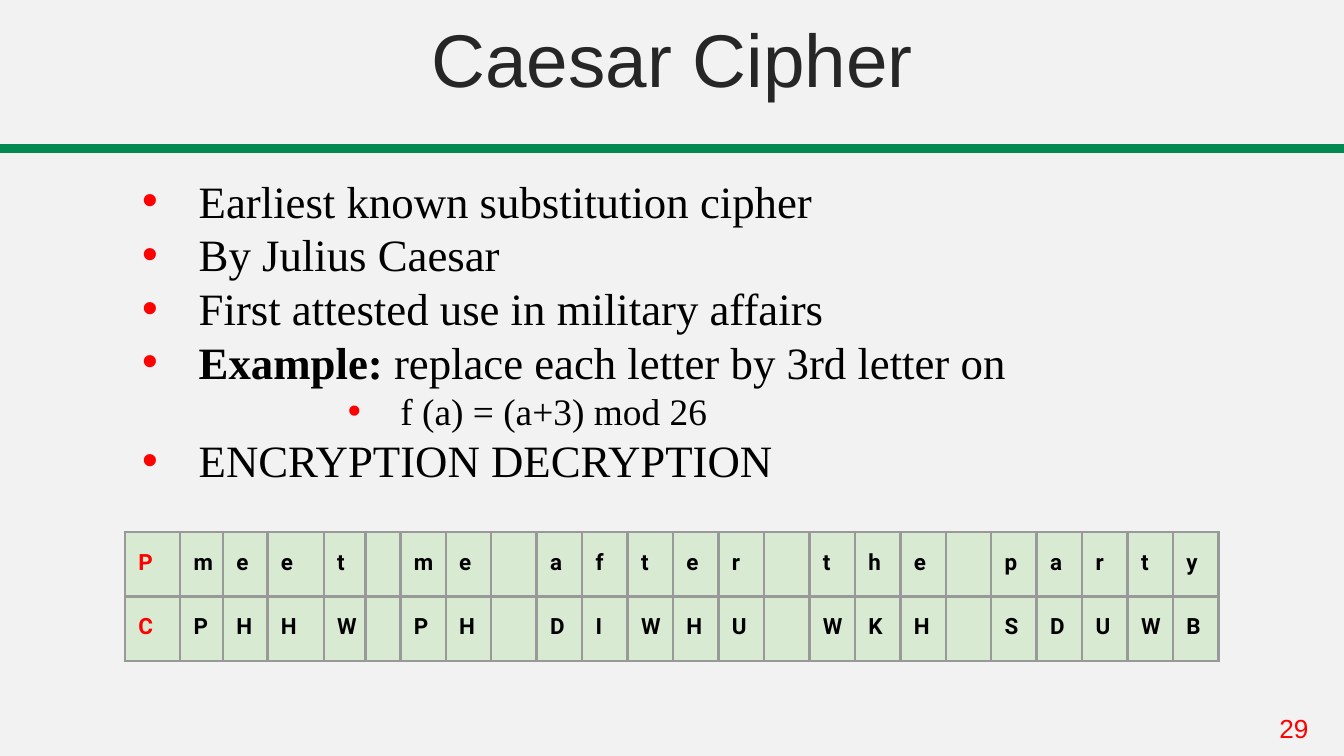
from dataclasses import dataclass

from lxml.etree import SubElement
from pptx import Presentation
from pptx.dml.color import RGBColor
from pptx.enum.shapes import MSO_SHAPE
from pptx.enum.text import MSO_ANCHOR, PP_ALIGN
from pptx.oxml.ns import qn
from pptx.util import Inches, Pt

WIDTH = 10
HEIGHT = WIDTH * 9 / 16
GREEN, RED, BLACK = "018952", "FF0000", "000000"
PLAIN = "meet me after the party"
SHIFT = 3


@dataclass
class Bullet:
    runs: tuple[tuple[str, bool], ...]
    size: int = 24
    level: int = 0
    margin: float = 0.5
    hang: float = 0.42


BULLETS = (
    Bullet((("Earliest known substitution cipher", False),)),
    Bullet((("By Julius Caesar", False),)),
    Bullet((("First attested use in military affairs", False),)),
    Bullet((("Example: ", True), ("replace each letter by 3rd letter on", False))),
    Bullet((("f (a) = (a+3) mod 26", False),), 20, 3, 2, 0.39),
    Bullet((("ENCRYPTION DECRYPTION", False),)),
)


def rgb(color: str) -> RGBColor:
    return RGBColor.from_string(color)


def box(left: float, top: float, width: float, height: float) -> tuple:
    """Turn percentages of the slide into lengths."""
    return tuple(Inches(share * side / 100) for share, side in
                 zip((left, top, width, height), (WIDTH, HEIGHT) * 2))


def add_run(p, text: str, color: str, **values) -> None:
    r = p.add_run()
    r.text = text
    for name, value in values.items():
        setattr(r.font, name, value)
    r.font.color.rgb = rgb(color)


def add_bullet(p, item: Bullet) -> None:
    pPr = p._p.get_or_add_pPr()
    pPr.set("marL", str(Inches(item.margin)))
    pPr.set("indent", str(-Inches(item.hang)))
    p.level = item.level
    p.space_before = Pt(0)
    SubElement(SubElement(pPr, qn("a:buClr")), qn("a:srgbClr"), val=RED)
    SubElement(pPr, qn("a:buFont"), typeface="Arial")
    SubElement(pPr, qn("a:buChar"), char="•")
    for text, bold in item.runs:
        add_run(p, text, BLACK, name="Times New Roman", size=Pt(item.size), bold=bold)


def format_cell(cell, letter: str, color: str) -> None:
    tcPr = cell._tc.get_or_add_tcPr()
    for side in ("lnL", "lnR", "lnT", "lnB"):
        ln = SubElement(tcPr, qn(f"a:{side}"), w=str(Pt(1.5)))
        SubElement(SubElement(ln, qn("a:solidFill")), qn("a:srgbClr"), val="999999")
    cell.fill.solid()
    cell.fill.fore_color.rgb = rgb("D9EAD3")
    if letter == " ":
        return
    for side in ("left", "right", "top", "bottom"):
        setattr(cell, f"margin_{side}", Inches(0.1))
    p = cell.text_frame.paragraphs[0]
    p.line_spacing = 1.15
    add_run(p, letter, color, name="Roboto", size=Pt(12), bold=True)


def encrypt(text: str) -> str:
    return "".join(chr((ord(c) - ord("a") + SHIFT) % 26 + ord("A"))
                   if c.isalpha() else c for c in text)


def add_cipher_table(s) -> None:
    rows = ("P" + PLAIN, "C" + encrypt(PLAIN))
    first = [0.41, 0.32, 0.33, 0.42, 0.31, 0.26]
    total = 8.14
    rest = len(rows[0]) - len(first)
    widths = first + [(total - sum(first)) / rest] * rest
    table = s.shapes.add_table(len(rows), len(widths), Inches(0.93), Inches(3.96),
                               Inches(total), Inches(0.96)).table
    table.first_row = table.horz_banding = False
    for column, width in zip(table.columns, widths):
        column.width = Inches(width)
    for i, letters in enumerate(rows):
        for j, letter in enumerate(letters):
            format_cell(table.cell(i, j), letter, BLACK if j else RED)


def main() -> None:
    prs = Presentation()
    prs.slide_width, prs.slide_height = Inches(WIDTH), Inches(HEIGHT)
    s = prs.slides.add_slide(prs.slide_layouts[5])
    s.background.fill.solid()
    s.background.fill.fore_color.rgb = rgb("F2F2F2")

    # Rule under the title
    sp = s.shapes.add_shape(MSO_SHAPE.RECTANGLE, *box(0, 19.3, 100, 0.75))
    sp.shadow.inherit = False
    sp.fill.solid()
    sp.fill.fore_color.rgb = sp.line.color.rgb = rgb(GREEN)
    sp.line.width = Pt(1.75)

    # Title
    title = s.shapes.title
    title.left, title.top, title.width, title.height = box(0, 0, 100, 14.4)
    tf = title.text_frame
    tf.vertical_anchor = MSO_ANCHOR.BOTTOM
    p = tf.paragraphs[0]
    p.alignment = PP_ALIGN.CENTER
    add_run(p, "Caesar Cipher", "262626", name="Arial", size=Pt(40))

    # Bullets
    tf = s.shapes.add_textbox(*box(8.8, 22.05, 82.5, 40.9)).text_frame
    tf.word_wrap = True
    for i, item in enumerate(BULLETS):
        add_bullet(tf.add_paragraph() if i else tf.paragraphs[0], item)

    # Plain text and cipher text
    add_cipher_table(s)

    # Slide number
    tf = s.shapes.add_textbox(*box(94.2, 93.4, 5.8, 6)).text_frame
    tf.word_wrap = True
    add_run(tf.paragraphs[0], "29", RED, name="Arial", size=Pt(14))

    prs.save("out.pptx")


if __name__ == "__main__":
    main()
